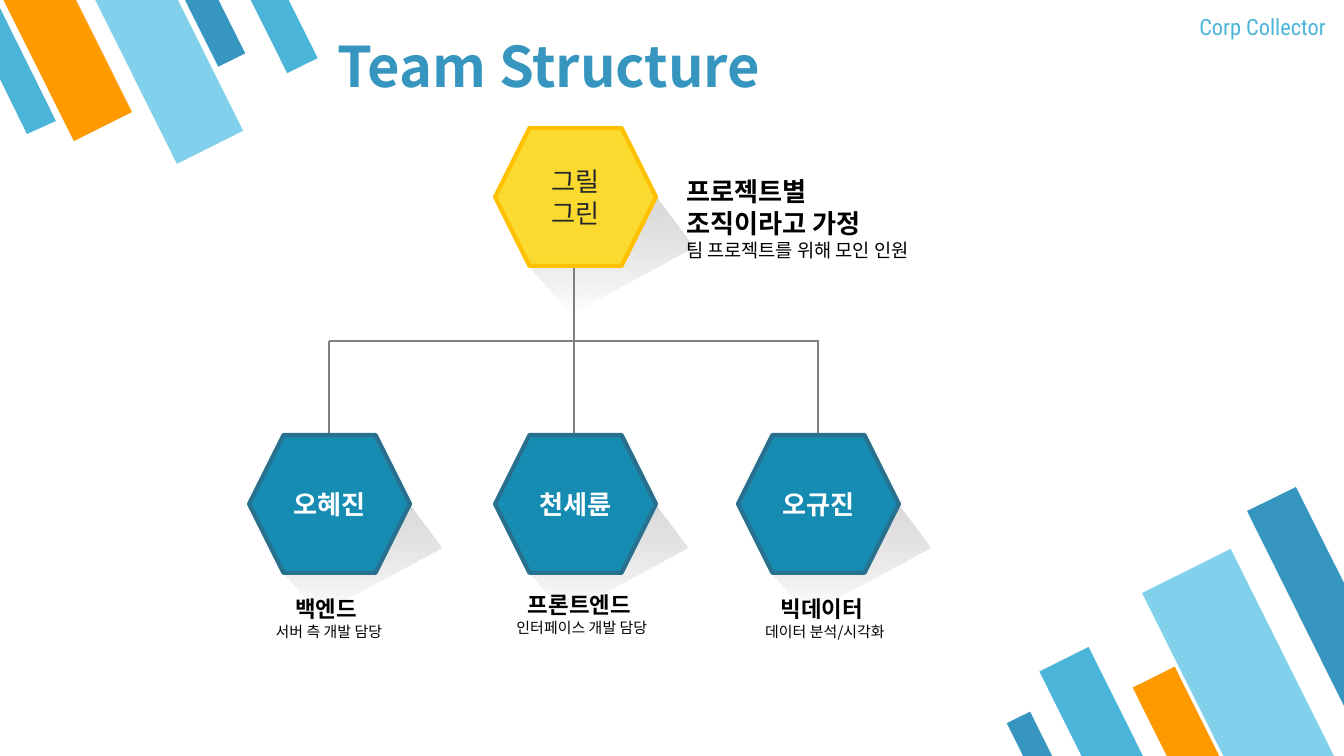
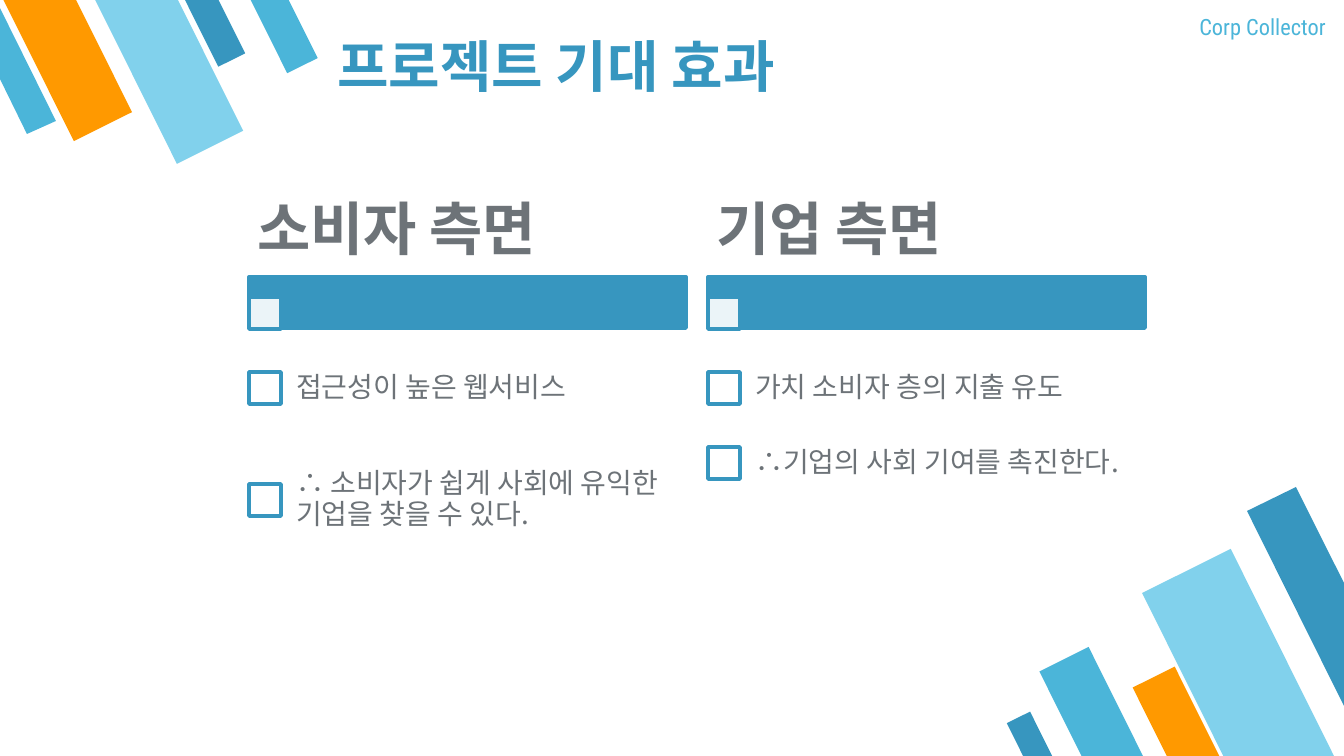
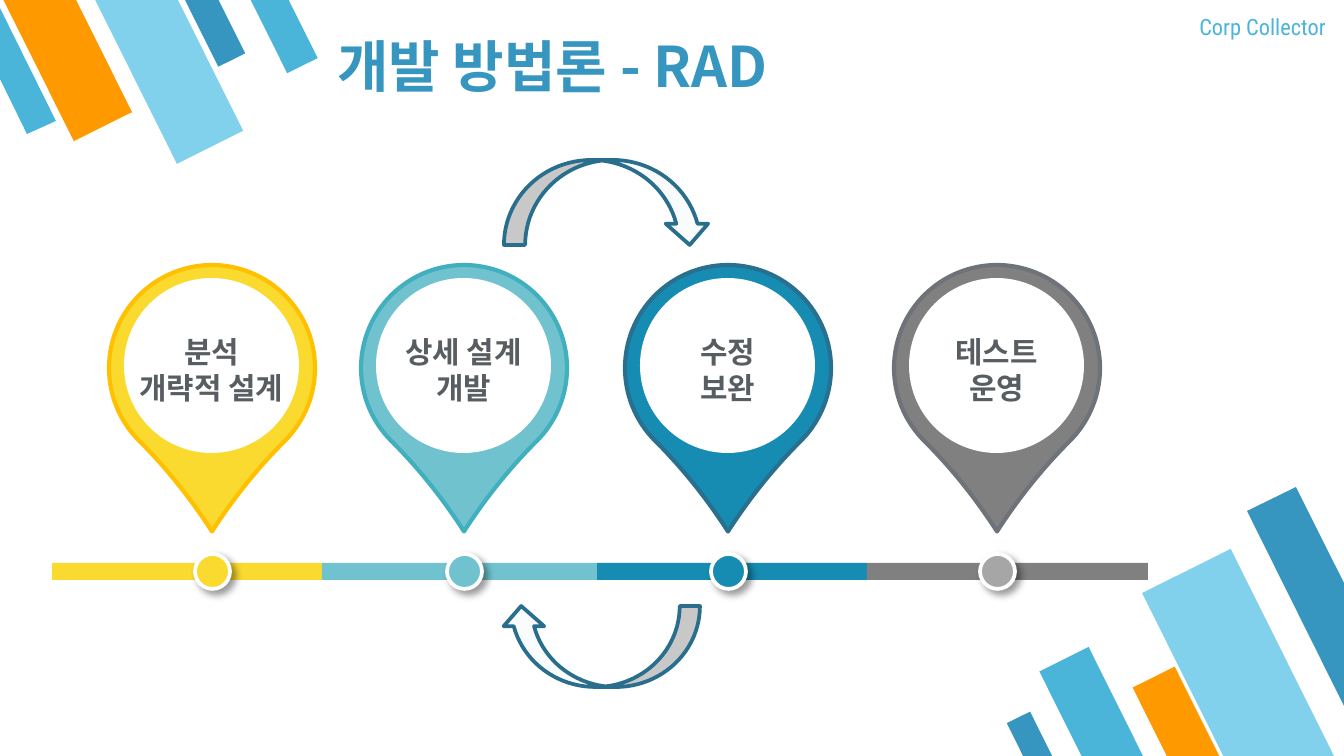
"""Build three project slides: team structure, expected effects, development method."""
from lxml import etree
from pptx import Presentation
from pptx import util as u
from pptx.dml.color import RGBColor
from pptx.enum import shapes, text
from pptx.oxml.ns import qn

PX = 914400 / 134.4
KOREAN, LATIN = "Noto Sans CJK KR", "Roboto Condensed"
SHAPE, ALIGN, ANCHOR = shapes.MSO_SHAPE, text.PP_ALIGN, text.MSO_ANCHOR
COLORS = {
    "blue": "3796BF", "sky": "4BB5D9", "pale": "81D1EC", "orange": "FF9900",
    "white": "FFFFFF", "black": "000000", "ink": "252729", "slate": "6D7378",
    "label": "585D62", "gray": "808080", "silver": "A6A6A6", "yellow": "FADA2F",
    "gold": "FFC000", "teal": "168CB3", "deep": "29708F", "aqua": "70C3CE",
    "lagoon": "42AFBE", "frost": "FAFBFC", "arrow": "296F8D",
}

BANDS = [
    (333.5, [("blue", 200, -11, 30, 75), ("orange", 35, -24, 65, 159),
             ("pale", 132, -27, 74, 184), ("sky", 267, -13, 34, 83)]),
    (153.5, [("sky", 1067, 652, 55, 137), ("pale", 1192, 558, 99, 247),
             ("orange", 1156, 671, 47, 116), ("blue", 1020, 714, 26, 65)]),
]
CUT_BANDS = [
    ("sky", [(27, 134), (56, 121), (0, 8), (0, 79)]),
    ("blue", [(1296, 487), (1247, 511), (1344, 706), (1344, 583)]),
]
BRAND = "Corp Collector"

TEAM_TITLE = "Team Structure"
TEAM_LINES = [(329, 341, 819, 341), (329, 341, 329, 435), (818, 341, 818, 435),
              (574, 311, 574, 435), (574, 208, 574, 312)]
HEXAGON = (161, 138)
HEXAGON_SHADOW = [(151, 58), (192, 113), (70, 179), (31, 135)]
HEXAGONS = [
    ("그릴 그린", 495, 128, "yellow", "gold", "ink", False, 6),
    ("오혜진", 249, 435, "teal", "deep", "white", True, 0),
    ("천세륜", 495, 435, "teal", "deep", "white", True, 0),
    ("오규진", 738, 435, "teal", "deep", "white", True, 0),
]
TEAM_NOTE = [[("프로젝트별 조직이라고 가정", 14, True)], [("팀 프로젝트를 위해 모인 인원", 10, False)]]
ROLES = [
    (249, 160, [("백엔드", 12, True), (" ", 14, True)], "서버 측 개발 담당"),
    (500, 164, [("프론트엔드 ", 12, True)], "인터페이스 개발 담당"),
    (733, 184, [("빅데이터", 12, True), (" ", 14, True)], "데이터 분석/시각화"),
]

EFFECT_TITLE = "프로젝트 기대 효과"
EFFECTS = [
    (249, "소비자 측면", [("접근성이 높은 웹서비스", 75),
                     ("∴ 소비자가 쉽게 사회에 유익한\n기업을 찾을 수 있다.", 148)]),
    (708, "기업 측면", [("가치 소비자 층의 지출 유도", 75),
                    ("∴기업의 사회 기여를 촉진한다.", 75)]),
]
COLUMN_WIDTH, CHECK = 437, 32

METHOD_TITLE = "개발 방법론 - RAD"
STAGES = [
    ("분석\n개략적 설계", 212, 52, "yellow", "gold", "yellow"),
    ("상세 설계\n개발", 464, 322, "aqua", "lagoon", "aqua"),
    ("수정\n보완", 728, 597, "teal", "deep", "teal"),
    ("테스트\n운영", 997, 867, "gray", "slate", "silver"),
]
TIMELINE_END = 1148
CYCLE_ARROWS = [(SHAPE.CURVED_DOWN_ARROW, (504, 160, 207, 85), False),
                (SHAPE.CURVED_UP_ARROW, (501, 606, 199, 81), True)]


def emu(*lengths):
    return [round(length * PX) for length in lengths]


def rgb(name):
    return RGBColor.from_string(COLORS[name])


def style(shape, fill, line=None, width=2.25):
    shape.shadow.inherit = False
    shape.fill.solid()
    shape.fill.fore_color.rgb = rgb(fill)
    if line:
        shape.line.color.rgb = rgb(line)
        shape.line.width = u.Pt(width)
    else:
        shape.line.fill.background()
    return shape


def add_shape(slide, kind, box, fill, line=None, width=2.25, rotation=0, flip=False):
    shape = style(slide.shapes.add_shape(kind, *emu(*box)), fill, line, width)
    shape.rotation = rotation
    if flip:
        shape.element.spPr.find(qn("a:xfrm")).set("flipH", "1")
    return shape


def add_polygon(slide, points, fill):
    start, *rest = [emu(*point) for point in points]
    builder = slide.shapes.build_freeform(*start)
    builder.add_line_segments(rest)
    return style(builder.convert_to_shape(), fill)


def set_alpha(color, percent):
    etree.SubElement(color, qn("a:alpha")).set("val", str(percent * 1000))


def write(shape, paragraphs, color, align=ALIGN.LEFT, anchor=ANCHOR.TOP,
          inset=None, spacing=None, font=KOREAN):
    frame = shape.text_frame
    frame.word_wrap = True
    frame.vertical_anchor = anchor
    if inset:
        frame.margin_left = frame.margin_right = u.Inches(inset[0])
        frame.margin_top = frame.margin_bottom = u.Inches(inset[1])
    for index, runs in enumerate(paragraphs):
        paragraph = frame.add_paragraph() if index else frame.paragraphs[0]
        paragraph.alignment = align
        if spacing:
            paragraph.line_spacing = spacing
        for words, size, bold in runs:
            for row, part in enumerate(words.split("\n")):
                if row:
                    paragraph.add_line_break()
                run = paragraph.add_run()
                run.text = part
                run.font.size = u.Pt(size)
                run.font.bold = bold
                run.font.color.rgb = rgb(color)
                run.font.name = font
                east = etree.SubElement(run.font._element, qn("a:ea"))
                east.set("typeface", font)


def add_text(slide, box, paragraphs, color, **options):
    write(slide.shapes.add_textbox(*emu(*box)), paragraphs, color, **options)


def add_base(presentation, title):
    slide = presentation.slides.add_slide(presentation.slide_layouts[6])
    for rotation, bands in BANDS:
        for color, *box in bands:
            add_shape(slide, SHAPE.FLOWCHART_MANUAL_INPUT, box, color,
                      rotation=rotation, flip=True)
    for color, points in CUT_BANDS:
        add_polygon(slide, points, color)
    add_text(slide, (324, 13, 847, 99), [[(title, 30, True)]], "blue",
             anchor=ANCHOR.BOTTOM, inset=(0.1, 0.1))
    add_text(slide, (1171, 0, 168, 58), [[(BRAND, 12, False)]], "sky",
             align=ALIGN.RIGHT, inset=(0.1, 0.1), font=LATIN)
    return slide


def add_hexagon(slide, name, left, top, fill, line, color, bold, shift):
    points = [(left + x + shift, top + y + shift) for x, y in HEXAGON_SHADOW]
    shadow = add_polygon(slide, points, "silver")
    shadow.fill.gradient()
    shadow.fill.gradient_angle = 270
    for stop, tone in zip(shadow.fill.gradient_stops, ("silver", "gray")):
        stop.color.rgb = rgb(tone)
    for tone, percent in zip(shadow.element.spPr.iter(qn("a:srgbClr")), (45, 0)):
        set_alpha(tone, percent)
    hexagon = add_shape(slide, SHAPE.HEXAGON, (left, top, *HEXAGON), fill, line)
    write(hexagon, [[(name, 14, bold)]], color, align=ALIGN.CENTER, anchor=ANCHOR.MIDDLE)


def build_team(presentation):
    slide = add_base(presentation, TEAM_TITLE)
    for ends in TEAM_LINES:
        line = slide.shapes.add_connector(shapes.MSO_CONNECTOR.STRAIGHT, *emu(*ends))
        line.line.color.rgb = rgb("gray")
        line.line.width = u.Pt(1.25)
        etree.SubElement(line.element.spPr, qn("a:effectLst"))
    for hexagon in HEXAGONS:
        add_hexagon(slide, *hexagon)
    add_text(slide, (673, 169, 261, 99), TEAM_NOTE, "black")
    for left, width, role, duty in ROLES:
        add_text(slide, (left, 585, width, 62), [role, [(duty, 8, False)]], "black",
                 align=ALIGN.CENTER)


def build_effects(presentation):
    slide = add_base(presentation, EFFECT_TITLE)
    for left, heading, items in EFFECTS:
        add_shape(slide, SHAPE.RECTANGLE, (left, 277, COLUMN_WIDTH, 51), "blue", "blue", 2)
        tile = add_shape(slide, SHAPE.RECTANGLE, (left, 297, CHECK, CHECK), "white", "blue", 2)
        set_alpha(next(tile.element.spPr.iter(qn("a:srgbClr"))), 90)
        add_text(slide, (left, 185, COLUMN_WIDTH, 93), [[(heading, 31, True)]], "slate",
                 anchor=ANCHOR.MIDDLE, inset=(0.06, 0.04), spacing=0.9)
        top = 351
        for words, height in items:
            check = (left, top + (height - CHECK) // 2, CHECK, CHECK)
            add_shape(slide, SHAPE.RECTANGLE, check, "white", "blue", 2)
            add_text(slide, (left + 31, top, COLUMN_WIDTH - 31, height),
                     [[(words, 15, False)]], "slate", anchor=ANCHOR.MIDDLE,
                     inset=(0.12, 0.12), spacing=0.9)
            top += height


def add_dot(slide, center, color):
    dot = add_shape(slide, SHAPE.OVAL, (center - 17, 554, 35, 35), color, "white", 2)
    effects = dot.element.spPr.find(qn("a:effectLst"))
    shadow = etree.SubElement(effects, qn("a:outerShdw"), blurRad=str(u.Pt(4)),
                              dist=str(u.Pt(3)), dir="2700000", algn="tl", rotWithShape="0")
    set_alpha(etree.SubElement(shadow, qn("a:srgbClr"), val=COLORS["black"]), 40)


def build_method(presentation):
    slide = add_base(presentation, METHOD_TITLE)
    ends = [stage[2] for stage in STAGES[1:]] + [TIMELINE_END]
    for (_, _, start, color, _, _), end in zip(STAGES, ends):
        add_shape(slide, SHAPE.RECTANGLE, (start, 563, end - start, 17), color)
    for words, center, _, color, line, dot_color in STAGES:
        pin = add_shape(slide, SHAPE.TEAR, (center - 103, 265, 206, 206), color, line,
                        rotation=135)
        pin.adjustments[0] = 1.122
        add_shape(slide, SHAPE.OVAL, (center - 88, 278, 175, 175), "white")
        add_dot(slide, center, dot_color)
        add_text(slide, (center - 108, 327, 215, 86), [[(words, 16, True)]], "label",
                 align=ALIGN.CENTER)
    for kind, box, flip in CYCLE_ARROWS:
        add_shape(slide, kind, box, "frost", "arrow", 2, flip=flip)


def main():
    presentation = Presentation()
    presentation.slide_width, presentation.slide_height = emu(1344, 756)
    build_team(presentation)
    build_effects(presentation)
    build_method(presentation)
    presentation.save("out.pptx")


if __name__ == "__main__":
    main()
